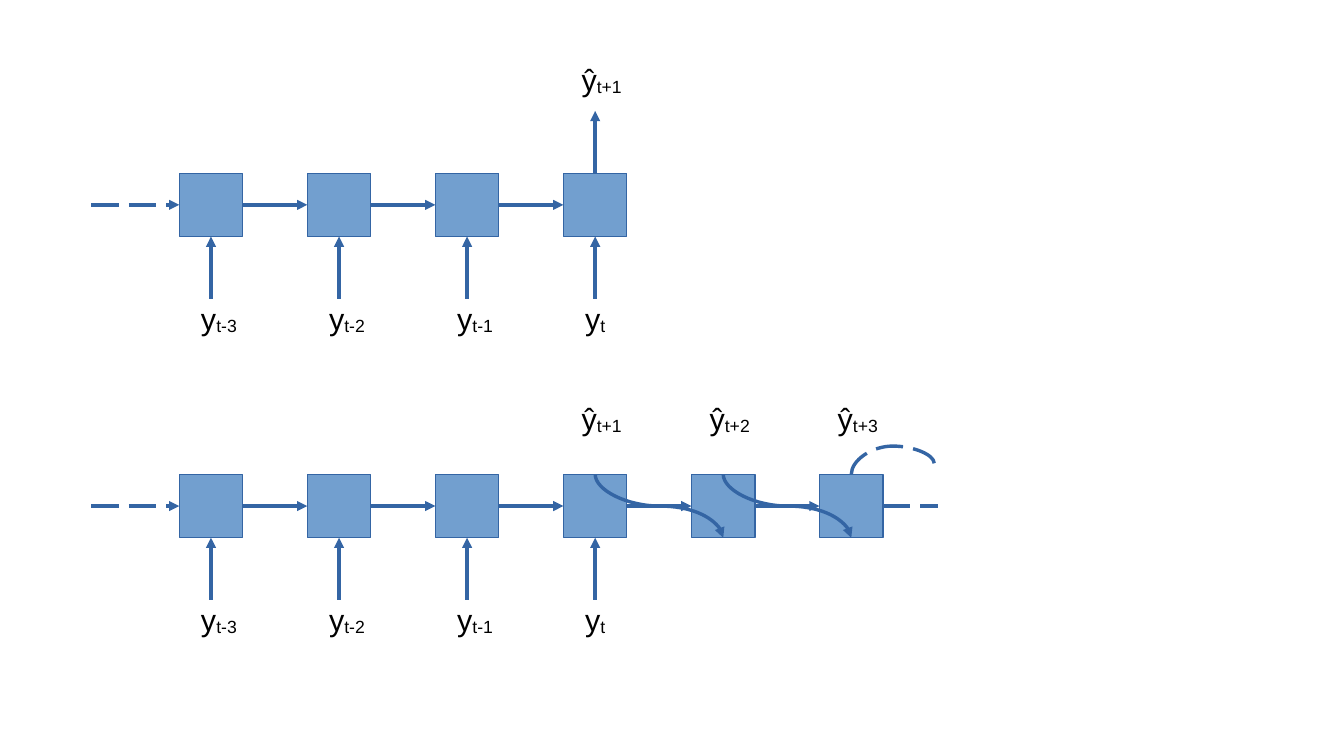
import pptx
import pptx.util
import pptx.dml.color
import pptx.enum.dml
import pptx.enum.shapes
import pptx.oxml.ns
from lxml import etree

BLUE = pptx.dml.color.RGBColor(0x72, 0x9F, 0xCF)
NAVY = pptx.dml.color.RGBColor(0x34, 0x65, 0xA4)
BLACK = pptx.dml.color.RGBColor(0, 0, 0)
WIDTH, HEIGHT = 11.02, 6.2
PITCH, SIDE = 1.05, 0.52
LEFT = 1.47
INPUTS = ["t-3", "t-2", "t-1", "t"]
TOP, RIGHT, BOTTOM = 0, 3, 2
KINDS = pptx.enum.shapes.MSO_CONNECTOR
qn = pptx.oxml.ns.qn
Inches = pptx.util.Inches


def add_line(s, start, end, kind=KINDS.STRAIGHT, dashed=False, arrow=True):
    """Draw a hairline connector between two points."""
    c = s.shapes.add_connector(kind, *[Inches(v) for v in start + end])
    c.line.color.rgb = NAVY
    c.line.width = pptx.util.Pt(0)
    if dashed:
        c.line.dash_style = pptx.enum.dml.MSO_LINE.LONG_DASH
    spPr = c._element.spPr
    if arrow:
        etree.SubElement(spPr.find(qn("a:ln")), qn("a:tailEnd"), type="triangle")
    etree.SubElement(spPr, qn("a:effectLst"))
    return c


def add_curve(s, start, end, bend, rot, flips, **style):
    """Draw a curve that leaves and arrives vertically, turned about its middle."""
    mid_x, mid_y = (start[0] + end[0]) / 2, (start[1] + end[1]) / 2
    half_w, half_h = abs(end[1] - start[1]) / 2, abs(end[0] - start[0]) / 2
    c = add_line(s, (mid_x - half_w, mid_y - half_h),
                 (mid_x + half_w, mid_y + half_h), KINDS.CURVE, **style)
    xfrm = c._element.spPr.find(qn("a:xfrm"))
    xfrm.set("rot", str(rot * 60000))
    for flip in flips:
        xfrm.set(flip, "1")
    geom = c._element.spPr.find(qn("a:prstGeom"))
    av = geom.find(qn("a:avLst"))
    if av is None:
        av = etree.SubElement(geom, qn("a:avLst"))
    etree.SubElement(av, qn("a:gd"), name="adj1", fmla=f"val {round(bend * 100000)}")


def add_label(s, x, y, letter, index):
    """Write a letter with its time index lowered."""
    tb = s.shapes.add_textbox(Inches(x), Inches(y), Inches(0.7), Inches(0.4))
    tf = tb.text_frame
    tf.word_wrap = True
    p = tf.paragraphs[0]
    for text in (letter, index):
        r = p.add_run()
        r.text = text
        r.font.name = "Arial"
        r.font.size = pptx.util.Pt(18)
        r.font.color.rgb = BLACK
    r._r.get_or_add_rPr().set("baseline", "-8000")


def add_chain(s, left, top, count):
    """Draw a row of linked cells with the observed inputs below."""
    cells = []
    mid = top + SIDE / 2
    for i in range(count):
        cell = s.shapes.add_shape(
            pptx.enum.shapes.MSO_SHAPE.RECTANGLE, Inches(left + i * PITCH),
            Inches(top), Inches(SIDE), Inches(SIDE))
        cell.shadow.inherit = False
        cell.fill.solid()
        cell.fill.fore_color.rgb = BLUE
        cell.line.color.rgb = NAVY
        cell.line.width = pptx.util.Pt(0)
        cells.append(cell)
    add_line(s, (left - 0.72, mid), (left, mid), dashed=True).end_connect(cells[0], 1)
    for i, (a, b) in enumerate(zip(cells, cells[1:])):
        x = left + i * PITCH
        c = add_line(s, (x + SIDE, mid), (x + PITCH, mid))
        c.begin_connect(a, RIGHT)
        c.end_connect(b, 1)
    for i, (cell, index) in enumerate(zip(cells, INPUTS)):
        x = left + i * PITCH
        c = add_line(s, (x + SIDE / 2, top + 1.03), (x + SIDE / 2, top + SIDE))
        c.end_connect(cell, BOTTOM)
        add_label(s, x + 0.08, top + 0.99, "y", index)
    return cells


def add_one_step(s, left, top):
    """Draw the chain that predicts a single step."""
    cells = add_chain(s, left, top, len(INPUTS))
    x = left + 3 * PITCH
    c = add_line(s, (x + SIDE / 2, top), (x + SIDE / 2, top - 0.51))
    c.begin_connect(cells[-1], TOP)
    add_label(s, x + 0.05, top - 0.97, "ŷ", "t+1")


def add_multi_step(s, left, top):
    """Draw the chain that feeds each prediction into the next cell."""
    cells = add_chain(s, left, top, 6)
    for step in range(3):
        x = left + (3 + step) * PITCH
        mid = x + SIDE / 2
        add_label(s, x + 0.05, top - 0.66, "ŷ", f"t+{step + 1}")
        if step < 2:
            add_curve(s, (mid, top), (mid + PITCH, top + SIDE), 0.5, 270, ["flipH"])
    add_curve(s, (mid, top), (mid + 0.68, top - 0.09), 2.57, 90,
              ["flipH", "flipV"], dashed=True, arrow=False)
    y = top + SIDE / 2
    c = add_line(s, (x + SIDE, y), (x + SIDE + 0.45, y), dashed=True, arrow=False)
    c.begin_connect(cells[-1], RIGHT)


def main():
    """Build and save the slide."""
    prs = pptx.Presentation()
    prs.slide_width, prs.slide_height = Inches(WIDTH), Inches(HEIGHT)
    s = prs.slides.add_slide(prs.slide_layouts[6])
    add_one_step(s, LEFT, 1.42)
    add_multi_step(s, LEFT, 3.89)
    prs.save("out.pptx")


if __name__ == "__main__":
    main()
